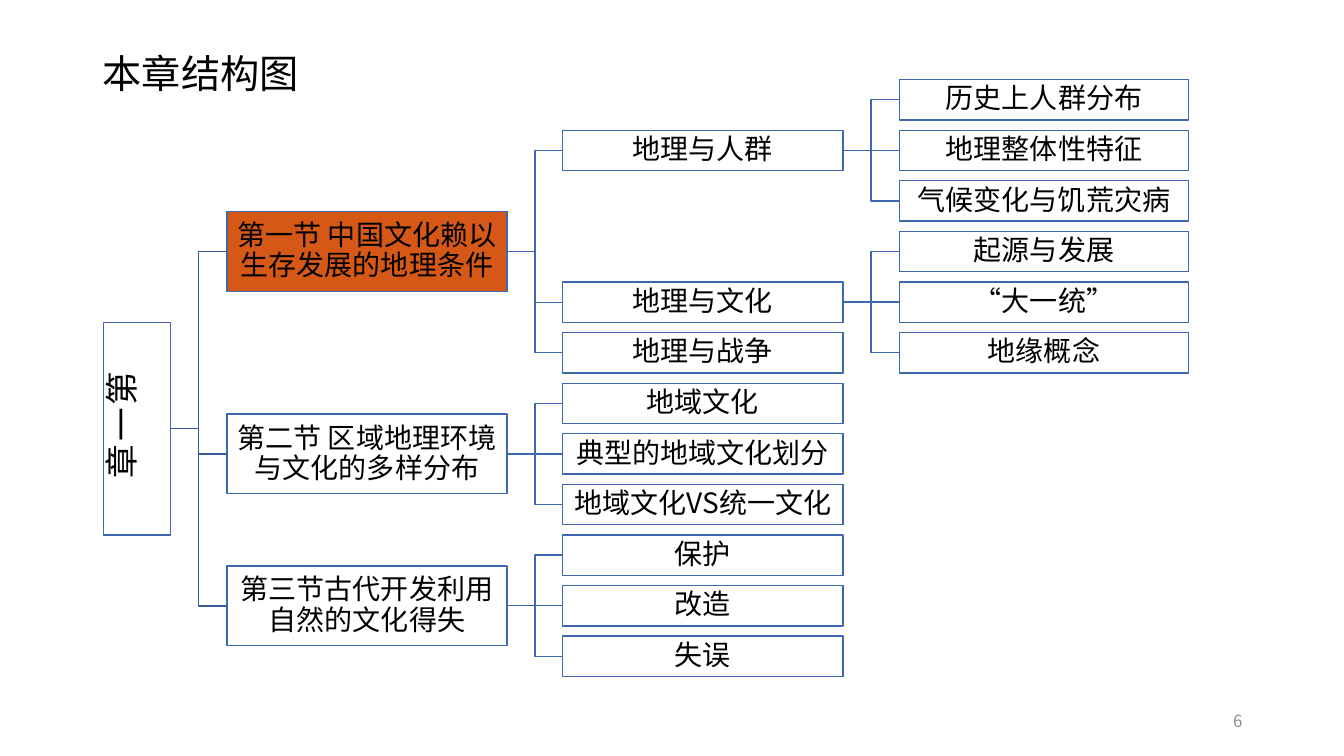
from lxml.etree import SubElement
from pptx import Presentation
from pptx.dml.color import RGBColor
from pptx.enum.shapes import MSO_CONNECTOR as CONNECTOR, MSO_SHAPE as SHAPE
from pptx.enum.text import MSO_ANCHOR as ANCHOR, PP_ALIGN as ALIGN
from pptx.oxml.ns import qn
from pptx.util import Inches, Pt

FONT = "Noto Sans CJK SC"
BLACK, WHITE, ORANGE, GREY = "000000", "FFFFFF", "D55816", "8C8C8C"
BOX_BLUE, TRUNK_BLUE = "3E67B2", "365B9D"

# Grid: twelve rows of boxes; left edge and width of each column
FIRST_ROW, ROW_PITCH = 0.99, 0.502
COLUMNS = [(1.03, 0.66), (2.25, 2.78), (5.58, 2.78), (8.92, 2.87)]
HEIGHTS = [2.11, 0.79, 0.4, 0.4]


def color(hex_string):
    return RGBColor.from_string(hex_string)


def write(shape, text, size, hex_string, align, spacing=None):
    frame = shape.text_frame
    frame.text = text
    frame.word_wrap = True
    frame.vertical_anchor = ANCHOR.MIDDLE
    paragraph = frame.paragraphs[0]
    paragraph.alignment = align
    paragraph.line_spacing = spacing
    font = paragraph.runs[0].font
    font.size, font.name = Pt(size), FONT
    font.color.rgb = color(hex_string)
    SubElement(paragraph.runs[0]._r.rPr, qn("a:ea"), typeface=FONT)


presentation = Presentation()
presentation.slide_width, presentation.slide_height = Inches(13.33), Inches(7.5)
slide = presentation.slides.add_slide(presentation.slide_layouts[5])

# Title
title = slide.shapes.title
title.left, title.top, title.width, title.height = map(Inches, (0.92, 0.4, 3.29, 0.71))
write(title, "本章结构图", 28, BLACK, ALIGN.LEFT, 0.9)

# Page number
page_number = slide.shapes.add_textbox(*map(Inches, (9.42, 6.95, 3, 0.4)))
write(page_number, "6", 12, GREY, ALIGN.RIGHT)

# Chapter tree: text, column, row, parent
TREE = [
    ("第一章", 0, 6.5, None),
    ("第一节 中国文化赖以生存发展的地理条件", 1, 3, "第一章"),
    ("第二节 区域地理环境与文化的多样分布", 1, 7, "第一章"),
    ("第三节古代开发利用自然的文化得失", 1, 10, "第一章"),
]
TOPICS = {
    TREE[1][0]: [("地理与人群", 1), ("地理与文化", 4), ("地理与战争", 5)],
    TREE[2][0]: [("地域文化", 6), ("典型的地域文化划分", 7), ("地域文化VS统一文化", 8)],
    TREE[3][0]: [("保护", 9), ("改造", 10), ("失误", 11)],
}
DETAILS = {
    "地理与人群": [("历史上人群分布", 0), ("地理整体性特征", 1), ("气候变化与饥荒灾病", 2)],
    "地理与文化": [("起源与发展", 3), ("“大一统”", 4), ("地缘概念", 5)],
}
for column, branches in ((2, TOPICS), (3, DETAILS)):
    for parent, children in branches.items():
        TREE += [(text, column, row, parent) for text, row in children]

# Boxes, each joined to its parent
boxes, rows = {}, {}
for text, column, row, parent in TREE:
    left, width = COLUMNS[column]
    height = HEIGHTS[column]
    middle = FIRST_ROW + row * ROW_PITCH
    is_chapter = parent is None
    if is_chapter:  # turned a quarter, so its sides swap around the same centre
        left, width, height = left + (width - height) / 2, height, width
    box = slide.shapes.add_shape(SHAPE.RECTANGLE, Inches(left), Inches(middle - height / 2),
                                 Inches(width), Inches(height))
    box.shadow.inherit = False
    box.fill.solid()
    box.fill.fore_color.rgb = color(ORANGE if text.startswith("第一节") else WHITE)
    box.line.color.rgb = color(BOX_BLUE)
    box.line.width = Pt(1)
    frame = box.text_frame
    frame.margin_left = frame.margin_right = frame.margin_top = frame.margin_bottom = Inches(0.01)
    write(box, text, 24 if is_chapter else 20, BLACK, ALIGN.CENTER, 0.9)
    boxes[text], rows[text] = box, row
    if is_chapter:
        box.rotation = 270
        frame._txBody.bodyPr.set("vert", "eaVert")
        continue

    parent_left, parent_width = COLUMNS[column - 1]
    kind = CONNECTOR.STRAIGHT if rows[parent] == row else CONNECTOR.ELBOW
    branch = slide.shapes.add_connector(
        kind, Inches(parent_left + parent_width), Inches(FIRST_ROW + rows[parent] * ROW_PITCH),
        Inches(left), Inches(middle))
    if column > 1:
        branch.begin_connect(boxes[parent], 3)
        branch.end_connect(box, 1)
    branch.line.color.rgb = color(TRUNK_BLUE if column == 1 else BOX_BLUE)
    branch.line.width = Pt(1)
    SubElement(branch._element.spPr, qn("a:effectLst"))

presentation.save("out.pptx")
